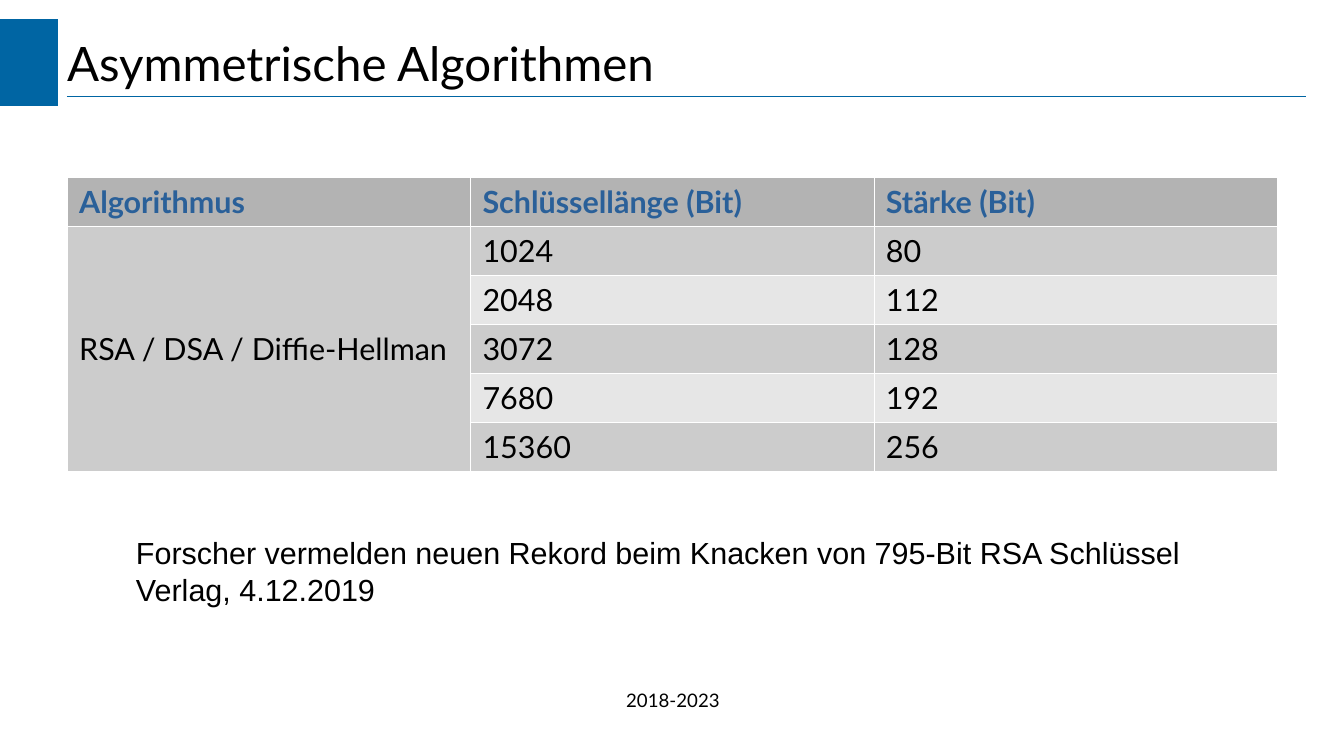
from lxml.etree import SubElement
from pptx import Presentation
from pptx.dml.color import RGBColor
from pptx.enum.shapes import MSO_CONNECTOR, MSO_SHAPE
from pptx.enum.text import MSO_ANCHOR, MSO_AUTO_SIZE, PP_ALIGN
from pptx.oxml import parse_xml
from pptx.oxml.ns import nsdecls, qn
from pptx.util import Emu, Pt

SCALE = 7495
COLORS = {
    "accent": "0065A3", "heading": "2A6099", "text": "000000", "border": "FFFFFF",
    "header": "B3B3B3", "odd": "CCCCCC", "even": "E6E6E6",
}
ROWS = [
    ("Algorithmus", "Schlüssellänge (Bit)", "Stärke (Bit)"),
    ("RSA / DSA / Diffie-Hellman", "1024", "80"),
    ("", "2048", "112"),
    ("", "3072", "128"),
    ("", "7680", "192"),
    ("", "15360", "256"),
]
TITLE_FORMAT = {"name": "Lato", "size": Pt(28), "bold": False}
HEADER_FORMAT = {"name": "Lato", "size": Pt(18), "bold": True}
CELL_FORMAT = {"name": "Lato", "size": Pt(18), "bold": False}
NOTE_FORMAT = {"name": "Arial", "size": Pt(18), "bold": False}
FOOTER_FORMAT = {"name": "Lato", "size": Pt(11), "bold": False}
NO_MARGINS = dict.fromkeys(("margin_left", "margin_top", "margin_right", "margin_bottom"), 0)


def px(*lengths):
    """Turn whole pixels into EMU."""
    return [Emu(length * SCALE) for length in lengths]


def color(name):
    """Look up a named colour."""
    return RGBColor.from_string(COLORS[name])


def apply(target, values):
    """Set every attribute of a dict of format values."""
    for name, value in values.items():
        setattr(target, name, value)


def write(frame, lines, font, ink="text", align=PP_ALIGN.LEFT):
    """Fill a text frame with one formatted paragraph per line."""
    frame.text = "\n".join(lines)
    for para in frame.paragraphs:
        para.alignment = align
        for span in para.runs:
            apply(span.font, font)
            span.font.color.rgb = color(ink)


def add_heading(page, box, title):
    """Place the title, the bar to its left and the rule beneath it."""
    left, top, width, height = box
    bar = page.shapes.add_shape(MSO_SHAPE.RECTANGLE, *px(left - 67, top - 11, 58, height + 21))
    bar.shadow.inherit = False
    bar.fill.solid()
    bar.fill.fore_color.rgb = color("accent")
    bar.line.fill.background()

    bottom = top + height
    rule = page.shapes.add_connector(
        MSO_CONNECTOR.STRAIGHT, *px(left, bottom, left + width + 29, bottom))
    apply(rule.line, {"width": Pt(0.5)})
    rule.line.color.rgb = color("accent")
    SubElement(rule._element.spPr, qn("a:effectLst"))

    holder = page.shapes.title
    apply(holder, dict(zip(("left", "top", "width", "height"), px(*box))))
    apply(holder.text_frame, {
        **NO_MARGINS, "word_wrap": True, "auto_size": MSO_AUTO_SIZE.NONE,
        "vertical_anchor": MSO_ANCHOR.MIDDLE})
    write(holder.text_frame, [title], TITLE_FORMAT)


def add_borders(cell):
    """Draw thin lines around a table cell."""
    properties = cell._tc.get_or_add_tcPr()
    for index, side in enumerate(("lnL", "lnR", "lnT", "lnB")):
        properties.insert(index, parse_xml(
            f'<a:{side} {nsdecls("a")} w="762"><a:solidFill>'
            f'<a:srgbClr val="{COLORS["border"]}"/></a:solidFill></a:{side}>'))


def add_key_table(page, box, rows):
    """Place the table of key lengths with its first column merged."""
    table = page.shapes.add_table(len(rows), len(rows[0]), *px(*box)).table
    for row_index, row in enumerate(rows):
        header = row_index == 0
        shade = "header" if header else "odd" if row_index % 2 else "even"
        for column_index, text in enumerate(row):
            cell = table.cell(row_index, column_index)
            cell.fill.solid()
            cell.fill.fore_color.rgb = color(shade)
            add_borders(cell)
            if header or column_index == 0:
                cell.vertical_anchor = MSO_ANCHOR.MIDDLE
            if text:
                write(cell.text_frame, [text], HEADER_FORMAT if header else CELL_FORMAT,
                      "heading" if header else "text")
    table.cell(1, 0).merge(table.cell(len(rows) - 1, 0))


def add_note(page, box, lines):
    """Place the news note below the table."""
    frame = page.shapes.add_textbox(*px(*box)).text_frame
    apply(frame, {"word_wrap": False})
    write(frame, lines, NOTE_FORMAT)


def add_footer(page, box, text):
    """Place the centred footer."""
    frame = page.shapes.add_textbox(*px(*box)).text_frame
    apply(frame, {**NO_MARGINS, "word_wrap": True})
    write(frame, [text], FOOTER_FORMAT, align=PP_ALIGN.CENTER)


def main():
    """Build and save the deck."""
    deck = Presentation()
    apply(deck, dict(zip(("slide_width", "slide_height"), px(1344, 756))))
    page = deck.slides.add_slide(deck.slide_layouts[5])
    add_heading(page, (67, 30, 1210, 66), "Asymmetrische Algorithmen")
    add_key_table(page, (67, 177, 1210, 294), ROWS)
    add_note(page, (124, 528, 1069, 81), [
        "Forscher vermelden neuen Rekord beim Knacken von 795-Bit RSA Schlüssel",
        "Verlag, 4.12.2019"])
    add_footer(page, (460, 689, 426, 52), "2018-2023")
    deck.save("out.pptx")


if __name__ == "__main__":
    main()
